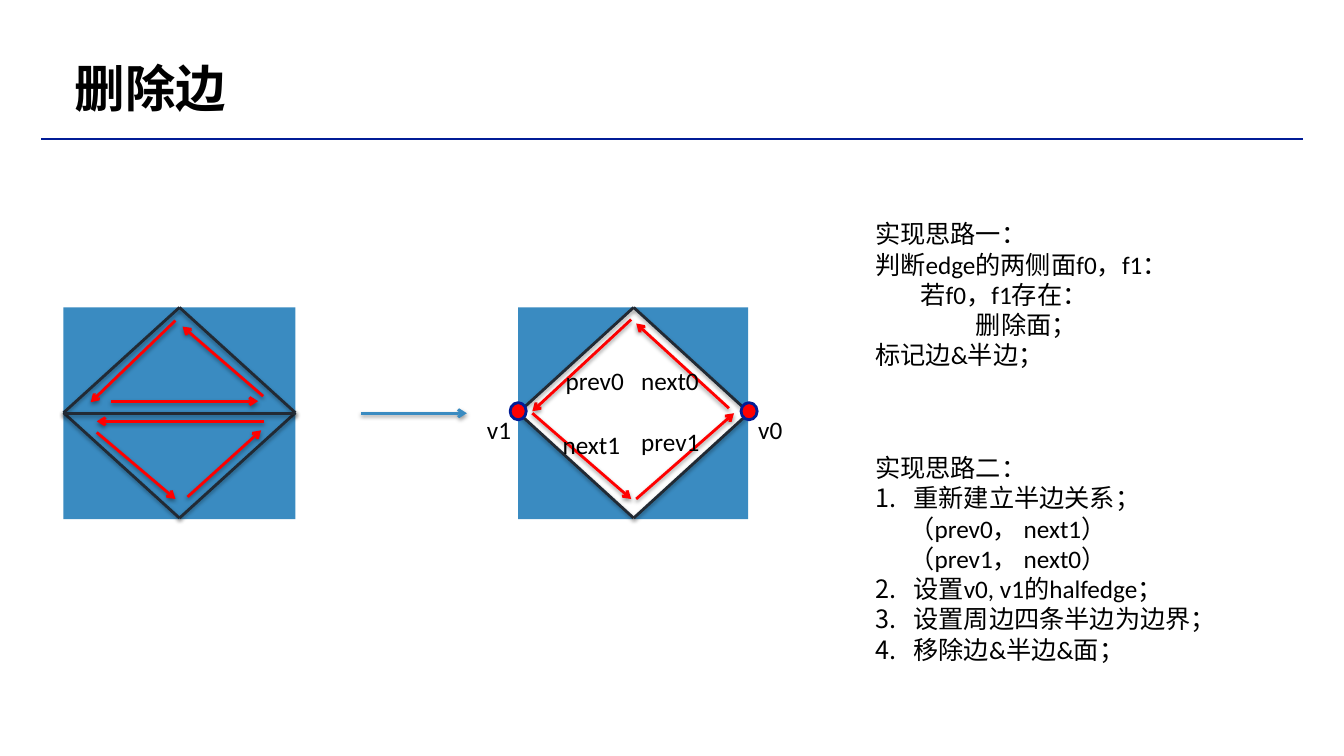
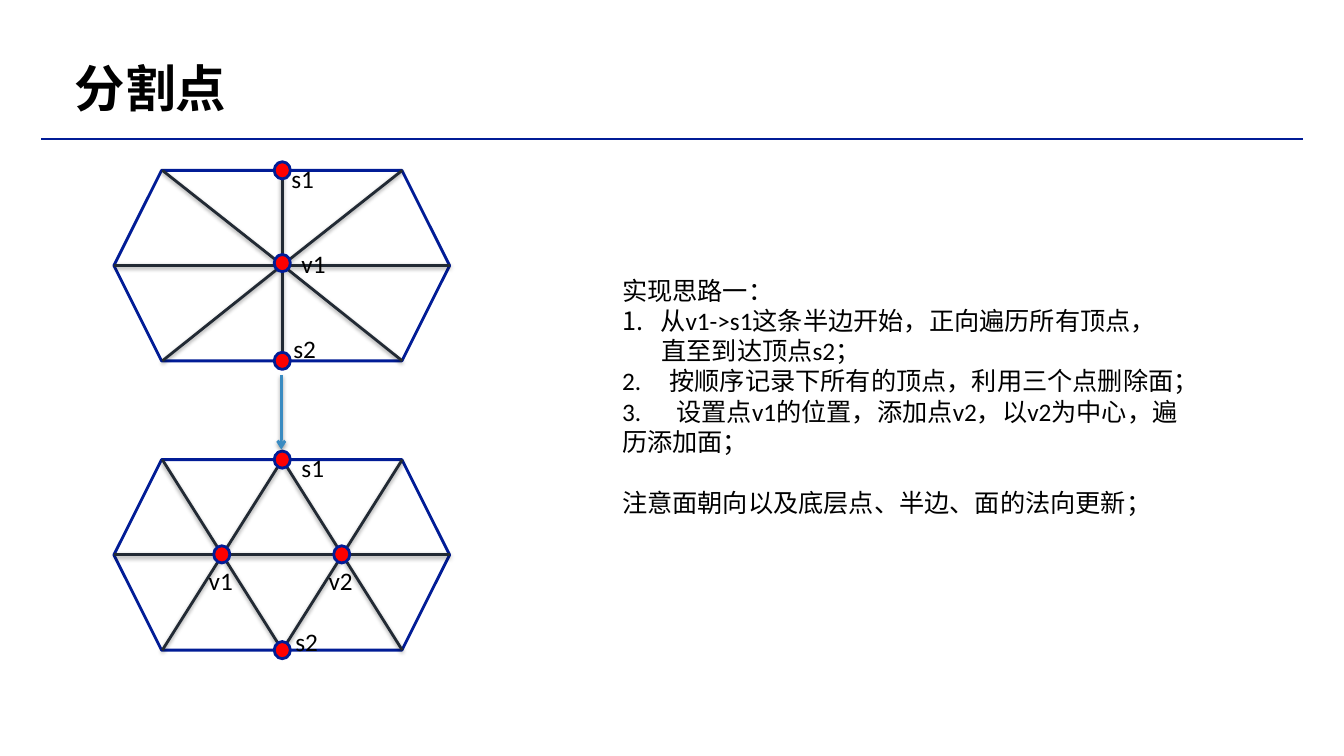
import pptx
import pptx.util
import pptx.dml.color
import pptx.enum.shapes
import pptx.enum.text
import pptx.oxml
import pptx.oxml.ns
from dataclasses import dataclass

Inches, Pt = pptx.util.Inches, pptx.util.Pt
RGB = pptx.dml.color.RGBColor
SHAPE = pptx.enum.shapes.MSO_SHAPE
ANCHOR = pptx.enum.text.MSO_ANCHOR


@dataclass(frozen=True)
class Theme:
    font: str = "Calibri"
    title_size: int = 36
    body_size: int = 18
    line_width: float = 2
    rule_width: float = 1.5
    text: str = "000000"
    navy: str = "011C96"
    blue: str = "3A8BC1"
    edge: str = "222A34"
    red: str = "FF0000"


T = Theme()
NS = pptx.oxml.ns.nsdecls("a")
SHADOW = (f'<a:effectLst {NS}><a:outerShdw blurRad="38100" dist="20320" dir="5400000" '
          'rotWithShape="0"><a:srgbClr val="000000"><a:alpha val="38000"/></a:srgbClr>'
          '</a:outerShdw></a:effectLst>')
NO_SHADOW = f"<a:effectLst {NS}/>"


# Lines and shapes
def add_line(s, x1, y1, x2, y2, color=T.edge, arrow=False, width=T.line_width, shadow=True):
    sp = s.shapes.add_connector(pptx.enum.shapes.MSO_CONNECTOR.STRAIGHT,
                                Inches(x1), Inches(y1), Inches(x2), Inches(y2))
    sp.line.color.rgb = RGB.from_string(color)
    sp.line.width = Pt(width)
    if arrow:
        sp.line._get_or_add_ln().append(pptx.oxml.parse_xml(f'<a:tailEnd {NS} type="arrow"/>'))
    sp._element.spPr.append(pptx.oxml.parse_xml(SHADOW if shadow else NO_SHADOW))


def add_lines(s, segments, **style):
    for segment in segments:
        add_line(s, *segment, **style)


def add_shape(s, kind, x, y, w, h, fill=None, line=None):
    sp = s.shapes.add_shape(kind, Inches(x), Inches(y), Inches(w), Inches(h))
    sp.shadow.inherit = False
    if fill:
        sp.fill.solid()
        sp.fill.fore_color.rgb = RGB.from_string(fill)
    else:
        sp.fill.background()
    if line:
        sp.line.color.rgb = RGB.from_string(line)
        sp.line.width = Pt(T.line_width)
    else:
        sp.line.fill.background()
    return sp


def add_vertices(s, centers):
    w, h = 0.16, 0.17
    for x, y in centers:
        add_shape(s, SHAPE.OVAL, x - w / 2, y - h / 2, w, h, T.red, T.navy)


# Text: each paragraph is (text, options), options being margin, number, tab, before
def format_paragraph(p, margin=0, number=None, tab=None, before=0):
    pPr = p._p.get_or_add_pPr()
    if margin:
        pPr.set("marL", str(Inches(margin)))
    if before:
        p.space_before = Pt(before)
    if number:
        pPr.set("indent", str(-Inches(margin)))
        pPr.append(pptx.oxml.parse_xml(
            f'<a:buAutoNum {NS} type="arabicPeriod" startAt="{number}"/>'))
    if tab:
        pPr.append(pptx.oxml.parse_xml(
            f'<a:tabLst {NS}><a:tab pos="{Inches(tab)}" algn="l"/></a:tabLst>'))


def add_text(s, x, y, w, h, paragraphs, size=T.body_size, bold=False, anchor=ANCHOR.TOP):
    tf = s.shapes.add_textbox(Inches(x), Inches(y), Inches(w), Inches(h)).text_frame
    tf.word_wrap = True
    tf.vertical_anchor = anchor
    tf.margin_left = tf.margin_right = tf.margin_top = tf.margin_bottom = Inches(0.05)
    for i, (text, options) in enumerate(paragraphs):
        p = tf.add_paragraph() if i else tf.paragraphs[0]
        p.text = text
        format_paragraph(p, **options)
        for r in p.runs:
            r.font.name = T.font
            r.font.size = Pt(size)
            r.font.bold = bold
            r.font.color.rgb = RGB.from_string(T.text)
    return tf


def add_labels(s, labels):
    for text, x, y in labels:
        add_text(s, x, y, 0.2 + 0.13 * len(text), 0.4, [(text, {})])


def add_titled_slide(prs, title):
    s = prs.slides.add_slide(prs.slide_layouts[6])
    add_line(s, 0.41, 1.38, 12.92, 1.38, T.navy, width=T.rule_width, shadow=False)
    tf = add_text(s, 0.69, 0.58, 7.63, 0.66, [(title, {})], T.title_size, True, ANCHOR.MIDDLE)
    tf.paragraphs[0].line_spacing = 0.9
    return s


# Mesh diagrams
def add_diamond(s, left, top, right, bottom):
    cx, cy = (left + right) / 2, (top + bottom) / 2
    add_lines(s, [(cx, y, x, cy) for x in (left, right) for y in (top, bottom)])


def add_hexagon(s, top, edges, vertices):
    """Edges and vertices are given relative to the top of the hexagon."""
    add_shape(s, SHAPE.HEXAGON, 1.13, top, 3.33, 1.89, line=T.navy)
    add_lines(s, [(x1, top + y1, x2, top + y2) for x1, y1, x2, y2 in edges])
    add_vertices(s, [(x, top + y) for x, y in vertices])


def build_delete_edge(prs):
    s = add_titled_slide(prs, "删除边")
    top, middle, bottom = 3.05, 4.1, 5.14

    # Two faces sharing an edge
    add_shape(s, SHAPE.RECTANGLE, 0.63, top, 2.3, 2.1, T.blue)
    add_diamond(s, 0.63, top, 2.93, bottom)
    add_line(s, 0.63, middle, 2.93, middle)
    add_lines(s, [(1.74, 3.18, 0.9, 3.99), (1.1, 3.98, 2.56, 3.98), (2.61, 3.93, 1.81, 3.24),
                  (2.62, 4.18, 0.96, 4.18), (0.96, 4.29, 1.74, 4.95),
                  (1.86, 4.93, 2.59, 4.27)], color=T.red, arrow=True)

    # Hole left after removal
    for x, y, rotation, apex in ((5.14, middle, 0, 0), (5.14, top, 180, 1),
                                 (6.28, middle, 0, 1), (6.28, top, 180, 0)):
        sp = add_shape(s, SHAPE.ISOSCELES_TRIANGLE, x, y, 1.14, 1.05, T.blue)
        sp.adjustments[0] = apex
        sp.rotation = rotation
    add_lines(s, [(6.26, 3.17, 5.28, 4.08), (5.28, 4.1, 6.26, 4.95),
                  (6.31, 4.95, 7.28, 4.1), (7.23, 4.05, 6.31, 3.21)], color=T.red, arrow=True)
    add_diamond(s, 5.14, top, 7.43, bottom)
    add_line(s, 3.58, middle, 4.63, middle, T.blue, arrow=True)

    # Explanation
    add_text(s, 8.63, 2.12, 3.69, 1.62, [
        ("实现思路一：", {}),
        ("判断edge的两侧面f0，f1：", {}),
        ("若f0，f1存在：", {"margin": 0.45}),
        ("删除面；", {"margin": 1}),
        ("标记边&半边；", {}),
    ])
    add_text(s, 8.63, 4.44, 3.57, 2.22, [
        ("实现思路二：", {}),
        ("重新建立半边关系；", {"margin": 0.38, "number": 1}),
        ("（prev0， next1）", {"margin": 0.34}),
        ("（prev1， next0）", {"margin": 0.34}),
        *((text, {"margin": 0.38, "number": 2}) for text in (
            "设置v0, v1的halfedge；", "设置周边四条半边为边界；", "移除边&半边&面；")),
    ])
    add_labels(s, [("prev1", 6.31, 4.18), ("prev0", 5.56, 3.58),
                   ("next0", 6.31, 3.58), ("next1", 5.53, 4.21)])
    add_vertices(s, [(7.43, 4.08), (5.14, 4.08)])
    add_labels(s, [("v1", 4.78, 4.06), ("v0", 7.47, 4.06)])


def build_split_vertex(prs):
    s = add_titled_slide(prs, "分割点")
    left, inner_left, cx, inner_right, right = 1.13, 1.61, 2.8, 3.99, 4.46
    mid, bottom = 0.94, 1.89

    # One centre vertex, then two after the split
    spokes = [(x, y, cx, mid) for x in (inner_left, cx, inner_right) for y in (0, bottom)]
    add_hexagon(s, 1.69, spokes + [(left, mid, right, mid)],
                [(cx, mid - 0.02), (cx, 0), (cx, bottom)])
    diagonals = [edge for a, b in ((inner_left, cx), (cx, inner_right))
                 for edge in ((a, 0, b, bottom), (b, 0, a, bottom))]
    add_hexagon(s, 4.56, diagonals + [(left, mid, right, mid)],
                [(2.2, mid), (3.39, mid), (cx, 0), (cx, bottom)])
    add_line(s, 2.79, 3.72, 2.79, 4.46, T.blue, arrow=True)
    add_labels(s, [("s1", 2.84, 1.57), ("s2", 2.86, 3.26), ("v1", 2.94, 2.41),
                   ("s1", 2.94, 4.44), ("s2", 2.88, 6.16),
                   ("v1", 2.02, 5.56), ("v2", 3.21, 5.56)])

    # Explanation
    add_text(s, 6.12, 2.68, 5.7, 2.83, [
        ("实现思路一：", {}),
        ("从v1->s1这条半边开始，正向遍历所有顶点，", {"margin": 0.38, "number": 1}),
        ("直至到达顶点s2；", {"margin": 0.39}),
        ("2.\t按顺序记录下所有的顶点，利用三个点删除面；", {"tab": 0.47}),
        ("3.\t设置点v1的位置，添加点v2，以v2为中心，遍历添加面；", {"tab": 0.54}),
        ("注意面朝向以及底层点、半边、面的法向更新；", {"before": 22}),
    ])


def main():
    prs = pptx.Presentation()
    prs.slide_width, prs.slide_height = Inches(13.33), Inches(7.5)
    build_delete_edge(prs)
    build_split_vertex(prs)
    prs.save("out.pptx")


if __name__ == "__main__":
    main()
